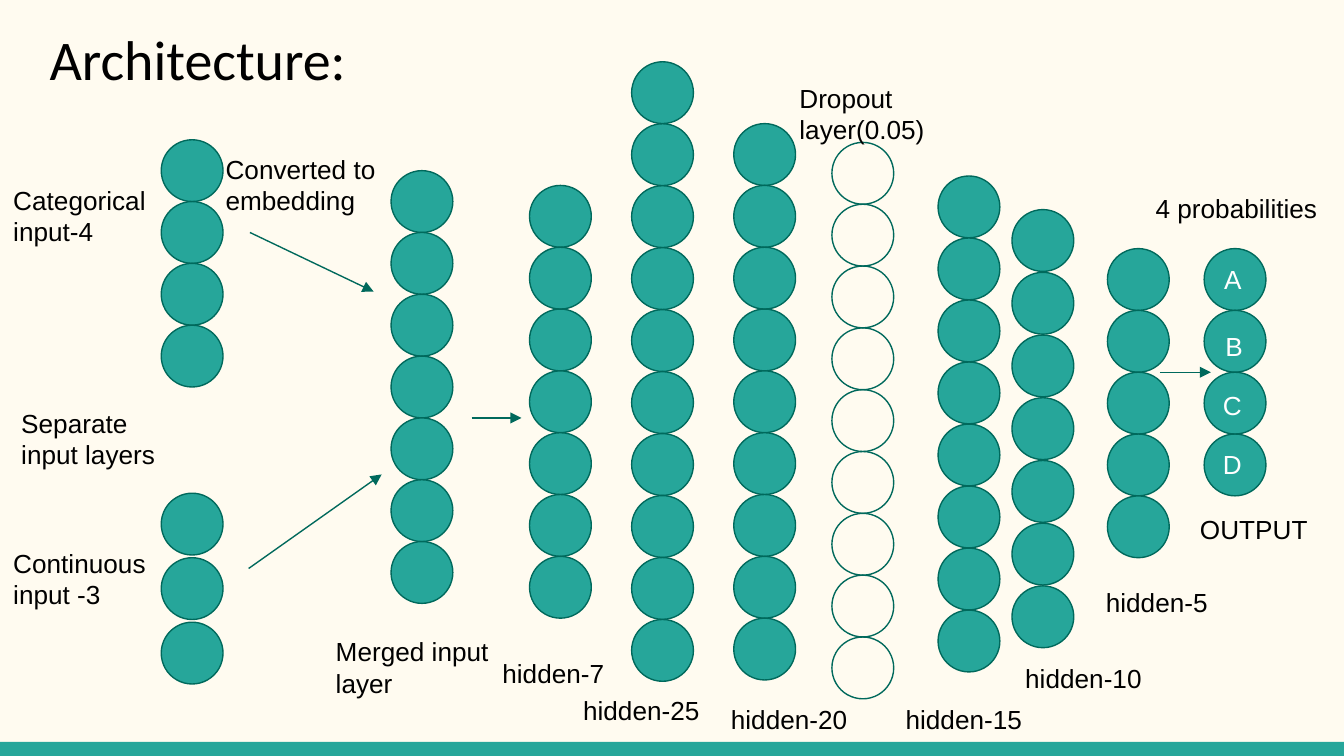
import pptx
import pptx.util
import pptx.dml.color
import pptx.enum.shapes
import pptx.oxml.ns
from lxml import etree

Inches = pptx.util.Inches
Pt = pptx.util.Pt
RGBColor = pptx.dml.color.RGBColor
SHAPES = pptx.enum.shapes.MSO_SHAPE
qn = pptx.oxml.ns.qn

CREAM = RGBColor(0xFF, 0xFB, 0xF0)
TEAL = RGBColor(0x26, 0xA6, 0x9A)
DARK_TEAL = RGBColor(0x00, 0x69, 0x5C)
BLACK = RGBColor(0, 0, 0)
WHITE = RGBColor(0xFF, 0xFF, 0xFF)

WIDTH = 10
HEIGHT = WIDTH * 9 / 16
NODE = 0.46
LINE = 0.75


def add_text(s, box, text, color=BLACK, font="Arial", size=14):
    tf = s.shapes.add_textbox(*map(Inches, box)).text_frame
    tf.word_wrap = True
    for side in ("left", "top", "right", "bottom"):
        setattr(tf, f"margin_{side}", Inches(0.1))
    r = tf.paragraphs[0].add_run()
    r.text = text
    for name, value in {"name": font, "size": Pt(size)}.items():
        setattr(r.font, name, value)
    r.font.color.rgb = color


def add_labels(s, left, top, labels):
    for text, x, y, width, height in labels:
        add_text(s, (left + x, top + y, width, height), text)


def add_layer(s, left, first, last, count, filled=True):
    step = (last - first) / (count - 1)
    for i in range(count):
        box = (left, first + i * step, NODE, NODE)
        sp = s.shapes.add_shape(SHAPES.OVAL, *map(Inches, box))
        sp.shadow.inherit = False
        if filled:
            sp.fill.solid()
            sp.fill.fore_color.rgb = TEAL
        else:
            sp.fill.background()
        sp.line.color.rgb = DARK_TEAL
        sp.line.width = Pt(LINE)


def add_arrow(s, *ends):
    kind = pptx.enum.shapes.MSO_CONNECTOR.STRAIGHT
    arrow = s.shapes.add_connector(kind, *map(Inches, ends))
    arrow.line.color.rgb = DARK_TEAL
    arrow.line.width = Pt(LINE)
    props = arrow.element.spPr
    etree.SubElement(props.find(qn("a:ln")), qn("a:tailEnd"), type="triangle")
    etree.SubElement(props, qn("a:effectLst"))


def draw_footer(s, box):
    bar = s.shapes.add_shape(SHAPES.RECTANGLE, *map(Inches, box))
    bar.shadow.inherit = False
    bar.fill.solid()
    bar.fill.fore_color.rgb = TEAL
    bar.line.fill.background()


def draw_title(s, box):
    add_text(s, box, "Architecture:", font="Calibri", size=30)


def draw_inputs(s, left, top):
    for x, first, last, count in [
        (1.2, 0.04, 1.42, 4),
        (1.2, 2.67, 3.63, 3),
        (2.91, 0.27, 3.03, 7),
    ]:
        add_layer(s, left + x, top + first, top + last, count)
    add_arrow(s, left + 1.86, top + 0.73, left + 2.78, top + 1.17)
    add_arrow(s, left + 1.85, top + 3.23, left + 2.84, top + 2.53)
    add_labels(s, left, top, [
        ("Categorical input-4", 0, 0.27, 1.28, 1.04),
        ("Continuous input -3", 0, 2.97, 1.28, 0.82),
        ("Merged input layer", 2.4, 3.63, 1.34, 0.69),
        ("Separate input layers", 0.06, 1.93, 1.34, 0.46),
        ("Converted to embedding", 1.58, 0.04, 1.79, 0.35),
    ])


def draw_hidden(s, left, top):
    add_arrow(s, left + 0.01, top + 2.71, left + 0.38, top + 2.71)
    for x, first, last, count, filled in [
        (0.44, 0.98, 3.74, 7, True),
        (1.2, 0.06, 4.21, 10, True),
        (1.96, 0.52, 4.2, 9, True),
        (2.69, 0.66, 4.34, 9, False),
        (3.48, 0.91, 4.14, 8, True),
        (4.03, 1.16, 3.96, 7, True),
        (4.74, 1.45, 3.29, 5, True),
    ]:
        add_layer(s, left + x, top + first, top + last, count, filled)
    add_labels(s, left, top, [
        ("hidden-7", 0.14, 4.39, 1.04, 0.46),
        ("hidden-25", 0.74, 4.67, 1.28, 0.35),
        ("hidden-20", 1.84, 4.73, 1.14, 0.35),
        ("hidden-15", 3.14, 4.73, 1.14, 0.29),
        ("hidden-10", 4.03, 4.43, 1.14, 0.29),
        ("hidden-5", 4.63, 3.86, 1.14, 0.29),
        ("Dropout layer(0.05)", 2.35, 0.11, 1.34, 0.56),
    ])


def draw_output(s, left, top):
    add_layer(s, left + 0.46, top + 0.55, top + 1.93, 4)
    add_arrow(s, left + 0.13, top + 1.47, left + 0.51, top + 1.47)
    add_labels(s, left, top, [
        ("4 probabilities", 0, 0.03, 1.51, 0.46),
        ("OUTPUT", 0.33, 2.42, 1.04, 0.44),
    ])
    for letter, x, y, width, height in [
        ("A", 0.51, 0.56, 1.21, 0.45),
        ("B", 0.52, 1.06, 0.46, 0.29),
        ("C", 0.5, 1.5, 0.69, 0.44),
        ("D", 0.5, 1.94, 0.69, 0.56),
    ]:
        add_text(s, (left + x, top + y, width, height), letter, WHITE)


def main():
    prs = pptx.Presentation()
    prs.slide_width, prs.slide_height = Inches(WIDTH), Inches(HEIGHT)
    s = prs.slides.add_slide(prs.slide_layouts[6])
    s.background.fill.solid()
    s.background.fill.fore_color.rgb = CREAM
    draw_footer(s, (0, 5.52, WIDTH, HEIGHT - 5.52))
    draw_title(s, (0.27, 0.08, 9.32, 0.67))
    draw_inputs(s, 0, 1)
    draw_hidden(s, 3.5, 0.4)
    draw_output(s, 8.5, 1.3)
    prs.save("out.pptx")


if __name__ == "__main__":
    main()
